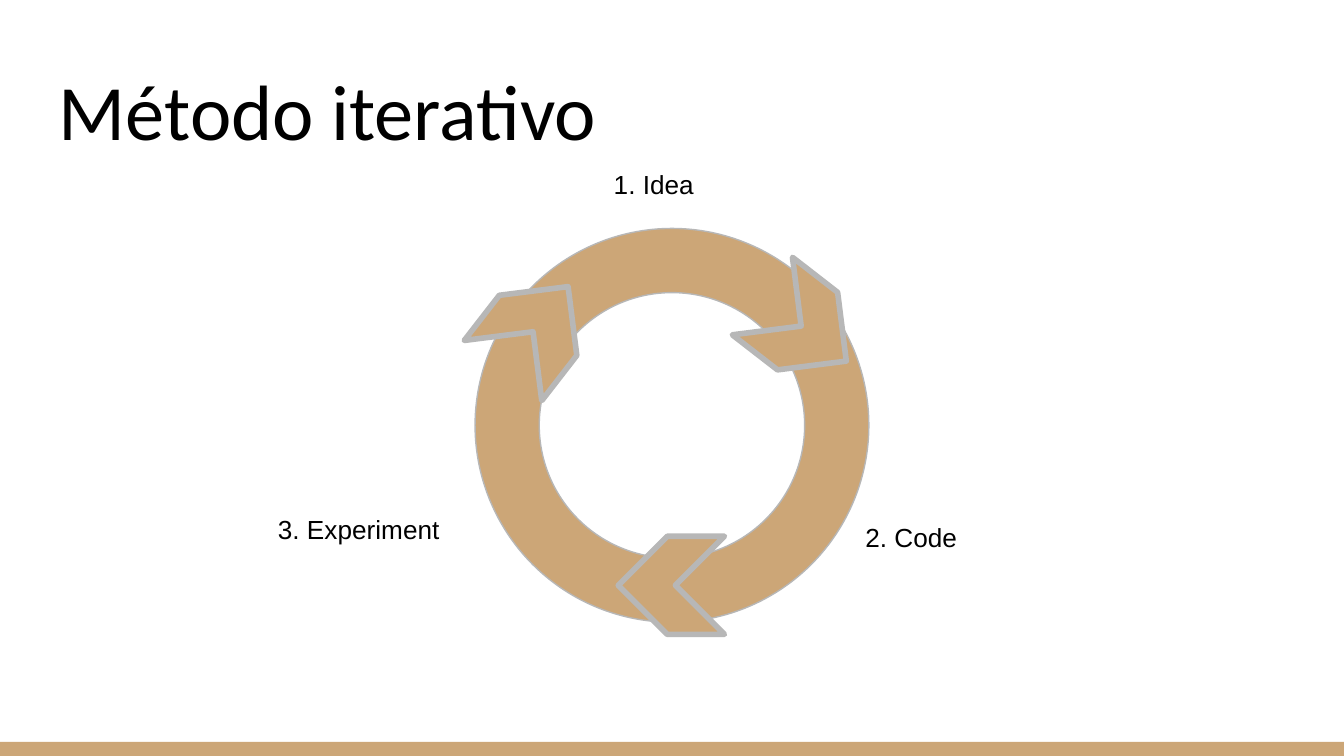
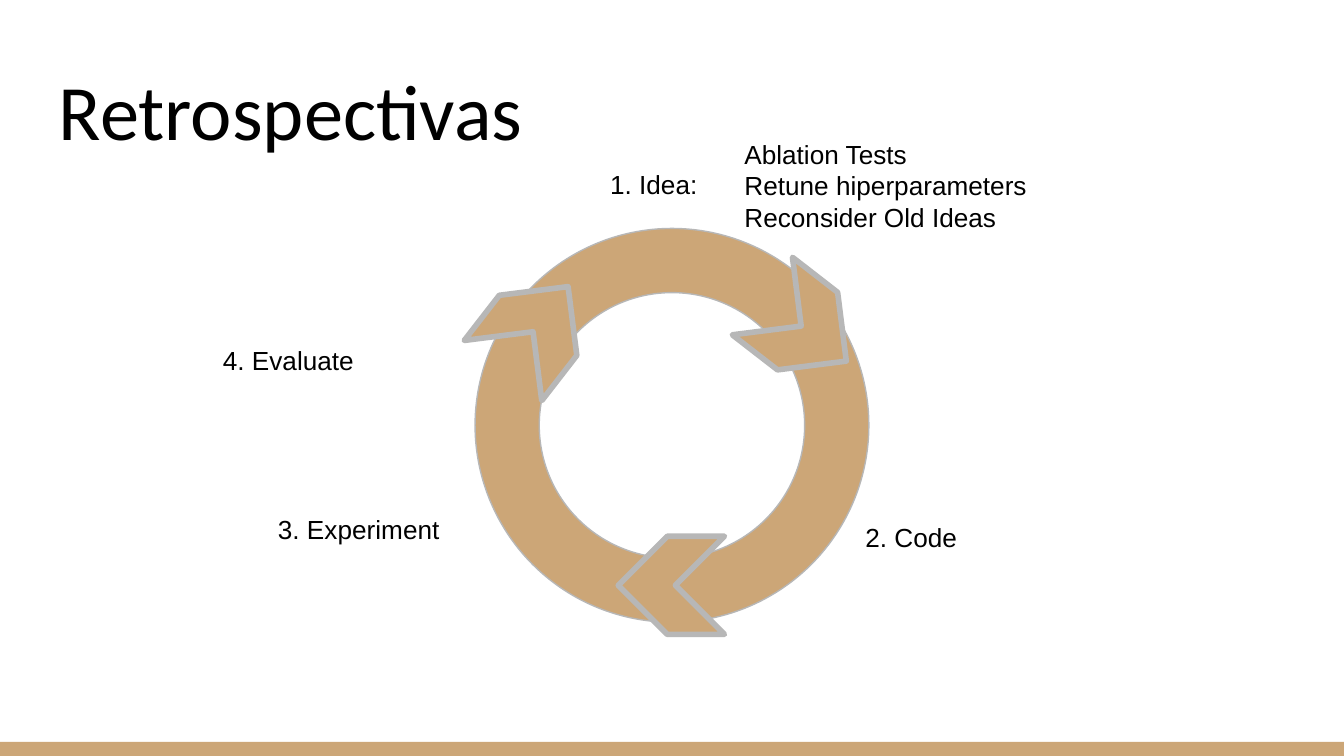
from pptx import Presentation
from pptx.dml.color import RGBColor
from pptx.enum.shapes import MSO_SHAPE
from pptx.enum.text import MSO_ANCHOR, PP_ALIGN
from pptx.util import Inches, Pt

# Content: title, then labels as (lines, format)
WIDTH = 10
HEIGHT = WIDTH * 9 / 16
LABEL_WIDTH, LABEL_HEIGHT = 2.17, 0.71
IDEA = dict(left=3.53, top=1.15, align=PP_ALIGN.CENTER)
STEPS = [
    (["2. Code"], dict(left=5.84, top=3.78)),
    (["3. Experiment"], dict(left=1.47, top=3.72)),
]
SLIDES = [
    ("Método iterativo", [(["1. Idea"], IDEA), *STEPS]),
    ("Retrospectivas", [
        (["1. Idea:"], IDEA),
        *STEPS,
        (["4. Evaluate"], dict(left=1.06, top=2.46)),
        (["Ablation Tests", "Retune hiperparameters", "Reconsider Old Ideas"],
         dict(left=5.44, top=0.93, width=2.81, indent=0)),
    ]),
]

# Shared style
TAN, GRAY, BLACK = "CCA677", "B7B7B7", "000000"
BAND_TOP = 5.52
RING_SIZE = 2.93
RING = ((WIDTH - RING_SIZE) / 2, 1.7, RING_SIZE, RING_SIZE)
RING_THICKNESS = 0.163
CHEVRON_SIZE = (0.79, 0.73)
CHEVRONS = [(5.59, 2.08, 37.8), (4.6, 3.99, 180), (3.59, 2.08, 307.8)]


def color(value):
    return RGBColor.from_string(value)


def add_text(slide, lines, left, top, width=LABEL_WIDTH, height=LABEL_HEIGHT,
             size=14, font="Arial", align=PP_ALIGN.LEFT,
             anchor=MSO_ANCHOR.TOP, indent=0.5):
    box = slide.shapes.add_textbox(*map(Inches, (left, top, width, height)))
    frame = box.text_frame
    frame.word_wrap = True
    frame.vertical_anchor = anchor
    frame.margin_left = frame.margin_right = Inches(0.1)
    frame.margin_top = frame.margin_bottom = Inches(0.1)
    frame.text = "\n".join(lines)
    for paragraph in frame.paragraphs:
        paragraph.alignment = align
        properties = paragraph._p.get_or_add_pPr()
        properties.set("marL", str(Inches(indent)))
        properties.set("indent", "0")
        for run in paragraph.runs:
            run.font.size = Pt(size)
            run.font.name = font
            run.font.color.rgb = color(BLACK)


def add_shape(shapes, kind, left, top, width, height, line_width=0,
              rotation=0, adjustment=None):
    shape = shapes.add_shape(kind, *map(Inches, (left, top, width, height)))
    shape.shadow.inherit = False
    shape.rotation = rotation
    shape.fill.solid()
    shape.fill.fore_color.rgb = color(TAN)
    if line_width:
        shape.line.color.rgb = color(GRAY)
        shape.line.width = Pt(line_width)
    else:
        shape.line.fill.background()
    if adjustment is not None:
        shape.adjustments[0] = adjustment


def add_cycle(slide):
    shapes = slide.shapes.add_group_shape().shapes
    add_shape(shapes, MSO_SHAPE.DONUT, *RING, line_width=0.75,
              adjustment=RING_THICKNESS)
    for left, top, rotation in CHEVRONS:
        add_shape(shapes, MSO_SHAPE.CHEVRON, left, top, *CHEVRON_SIZE,
                  line_width=3, rotation=rotation, adjustment=0.5)


presentation = Presentation()
presentation.slide_width = Inches(WIDTH)
presentation.slide_height = Inches(HEIGHT)

for title, labels in SLIDES:
    slide = presentation.slides.add_slide(presentation.slide_layouts[6])
    # Footer band and title
    add_shape(slide.shapes, MSO_SHAPE.RECTANGLE,
              0, BAND_TOP, WIDTH, HEIGHT - BAND_TOP)
    add_text(slide, [title], left=0.34, top=0.35, width=9.32, height=0.91,
             size=42, font="Calibri", anchor=MSO_ANCHOR.BOTTOM, indent=0)
    # Step labels around the cycle
    for lines, text_format in labels:
        add_text(slide, lines, **text_format)
    add_cycle(slide)

presentation.save("out.pptx")
